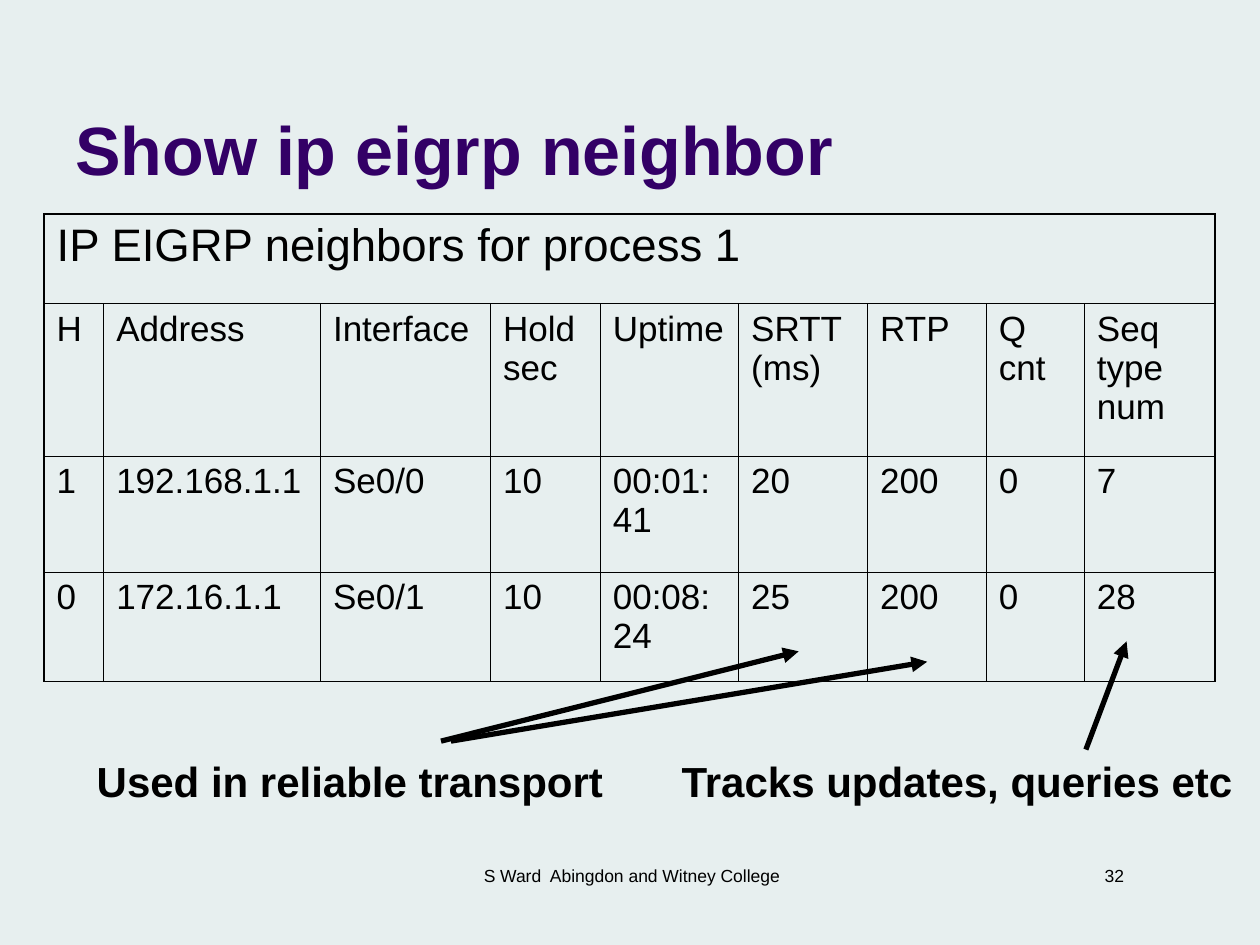
from typing import NamedTuple

import lxml.etree
import pptx
import pptx.dml.color
import pptx.enum.shapes
import pptx.enum.text
import pptx.oxml.ns
import pptx.util

Cm = pptx.util.Cm
Pt = pptx.util.Pt
qn = pptx.oxml.ns.qn
ALIGN = pptx.enum.text.PP_ALIGN
ANCHOR = pptx.enum.text.MSO_ANCHOR

FONT = "Arial"
BLACK = "000000"
PURPLE = "330066"
BACKGROUND = "E7EFEF"
OUTER, INNER = 1.08, 0.45
NO_STYLE = "{2D5ABB26-0587-4C30-8999-92F81FD0307C}"


class Label(NamedTuple):
    text: str
    left: float
    top: float
    width: float
    height: float
    size: float
    bold: bool = False
    color: str = BLACK
    align: ALIGN = ALIGN.LEFT
    anchor: ANCHOR = ANCHOR.TOP


class Arrow(NamedTuple):
    x1: float
    y1: float
    x2: float
    y2: float


LABELS = [
    Label("32", 17.7, 17.32, 5.21, 0.69, 10, align=ALIGN.RIGHT),
    Label("S Ward  Abingdon and Witney College", 8.71, 17.32, 8.05, 1.27, 10,
          align=ALIGN.CENTER),
    Label("Show ip eigrp neighbor", 1.27, 0.33, 20.96, 3.61, 39, True, PURPLE,
          anchor=ANCHOR.BOTTOM),
    Label("Used in reliable transport", 1.7, 15.11, 11, 1.27, 24, True),
    Label("Tracks updates, queries etc", 13.49, 15.11, 11.91, 1.27, 24, True),
]
ARROWS = [
    Arrow(8.89, 14.94, 16.1, 13.13),
    Arrow(21.89, 15.11, 22.71, 12.93),
    Arrow(9.09, 14.94, 18.69, 13.34),
]
COLUMNS = [1.2, 4.37, 3.43, 2.21, 2.79, 2.6, 2.39, 1.98, 2.63]
HEIGHTS = [1.8, 3.07, 2.34, 2.21]
ROWS = [
    ["IP EIGRP neighbors for process 1"],
    ["H", "Address", "Interface", "Hold\nsec", "Uptime", "SRTT (ms)", "RTP",
     "Q cnt", "Seq type num"],
    ["1", "192.168.1.1", "Se0/0", "10", "00:01:41", "20", "200", "0", "7"],
    ["0", "172.16.1.1", "Se0/1", "10", "00:08:24", "25", "200", "0", "28"],
]


def rgb(color: str) -> pptx.dml.color.RGBColor:
    return pptx.dml.color.RGBColor.from_string(color)


def write(tf, text: str, *, size: float, bold: bool = False,
          color: str = BLACK, align: ALIGN = ALIGN.LEFT) -> None:
    tf.word_wrap = True
    p = tf.paragraphs[0]
    p.text = text
    p.alignment = align
    for r in p.runs:
        r.font.name = FONT
        r.font.size = Pt(size)
        r.font.bold = bold
        r.font.color.rgb = rgb(color)


def add_label(s, label: Label) -> None:
    sp = s.shapes.add_textbox(Cm(label.left), Cm(label.top),
                              Cm(label.width), Cm(label.height))
    sp.text_frame.vertical_anchor = label.anchor
    write(sp.text_frame, label.text, size=label.size, bold=label.bold,
          color=label.color, align=label.align)


def add_arrow(s, arrow: Arrow) -> None:
    sp = s.shapes.add_connector(pptx.enum.shapes.MSO_CONNECTOR.STRAIGHT,
                                *(Cm(v) for v in arrow))
    sp.line.color.rgb = rgb(BLACK)
    sp.line.width = Pt(3)
    lxml.etree.SubElement(sp.line._get_or_add_ln(), qn("a:tailEnd"), type="triangle")
    lxml.etree.SubElement(sp._element.spPr, qn("a:effectLst"))


def add_border(cell, side: str, width: float) -> None:
    ln = lxml.etree.SubElement(cell._tc.get_or_add_tcPr(), qn(f"a:ln{side}"),
                               w=str(int(Pt(width))))
    fill = lxml.etree.SubElement(ln, qn("a:solidFill"))
    lxml.etree.SubElement(fill, qn("a:srgbClr"), val=BLACK)


def format_cell(cell, row: int, col: int) -> None:
    edges = {
        "L": col == 0,
        "R": col + cell.span_width == len(COLUMNS),
        "T": row == 0,
        "B": row == len(HEIGHTS) - 1,
    }
    for side, outer in edges.items():
        if side in "TB" or not cell.is_spanned:
            add_border(cell, side, OUTER if outer else INNER)
    cell.fill.background()


def add_neighbor_table(s) -> None:
    table = s.shapes.add_table(len(HEIGHTS), len(COLUMNS), Cm(0.89), Cm(4.32),
                               Cm(sum(COLUMNS)), Cm(sum(HEIGHTS))).table
    table.first_row = table.horz_banding = False
    table._tbl.tblPr.find(qn("a:tableStyleId")).text = NO_STYLE
    for column, width in zip(table.columns, COLUMNS):
        column.width = Cm(width)
    for row, height in zip(table.rows, HEIGHTS):
        row.height = Cm(height)
    table.cell(0, 0).merge(table.cell(0, len(COLUMNS) - 1))
    for i, texts in enumerate(ROWS):
        for j in range(len(COLUMNS)):
            format_cell(table.cell(i, j), i, j)
        for j, text in enumerate(texts):
            write(table.cell(i, j).text_frame, text, size=20 if i else 26)


def main() -> None:
    prs = pptx.Presentation()
    prs.slide_width, prs.slide_height = Cm(25.4), Cm(19.05)
    s = prs.slides.add_slide(prs.slide_layouts[6])
    s.background.fill.solid()
    s.background.fill.fore_color.rgb = rgb(BACKGROUND)
    add_neighbor_table(s)
    for label in LABELS:
        add_label(s, label)
    for arrow in ARROWS:
        add_arrow(s, arrow)
    prs.save("out.pptx")


if __name__ == "__main__":
    main()
